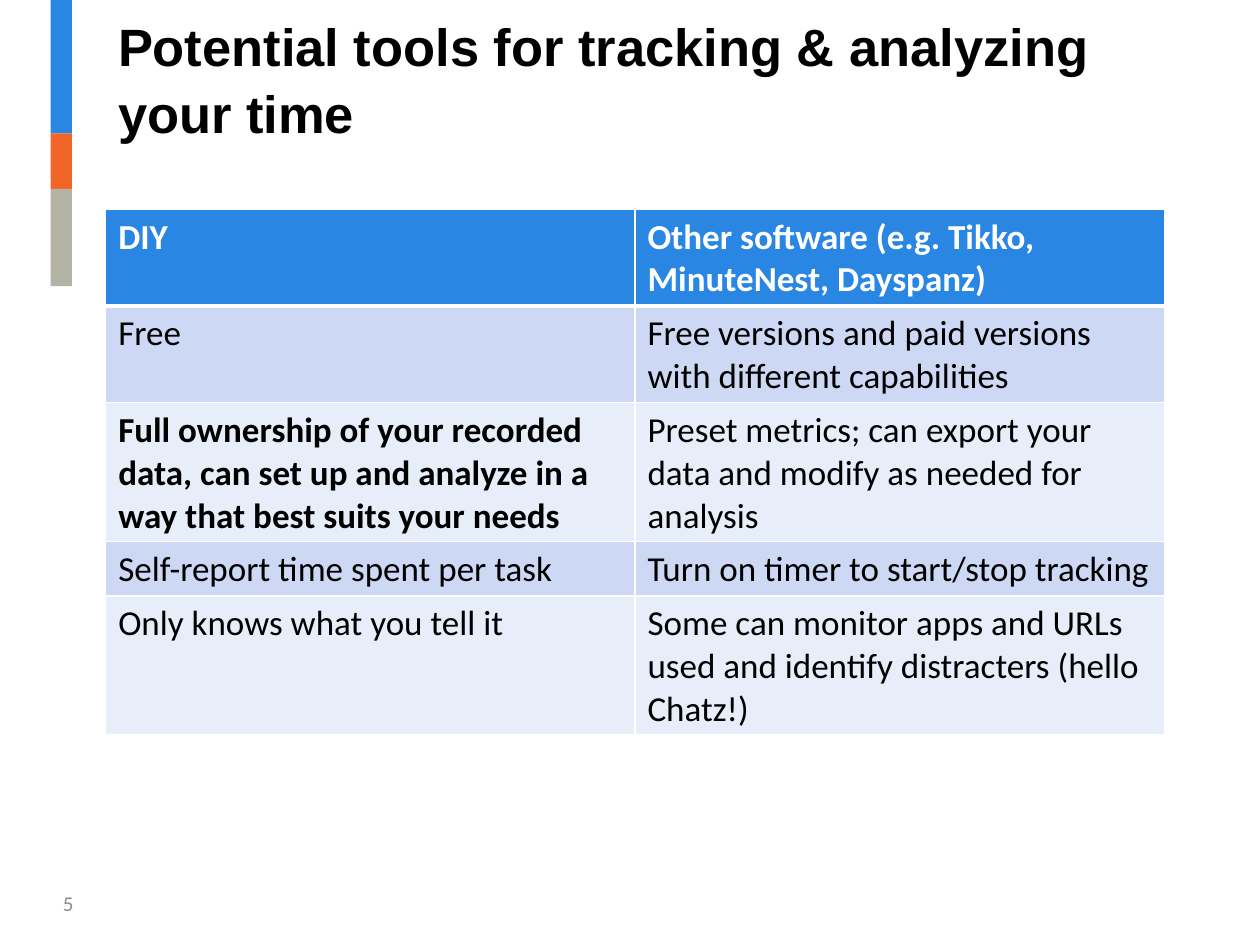
from dataclasses import dataclass

from lxml import etree
from pptx import Presentation
from pptx.dml.color import RGBColor
from pptx.enum.shapes import MSO_SHAPE
from pptx.enum.text import MSO_ANCHOR
from pptx.oxml.ns import qn
from pptx.util import Cm, Pt

RECT = MSO_SHAPE.RECTANGLE
BOTTOM = MSO_ANCHOR.BOTTOM
MIDDLE = MSO_ANCHOR.MIDDLE


@dataclass(frozen=True)
class Theme:
    blue: str = "2986E2"
    orange: str = "F26529"
    stone: str = "B3B3A6"
    bands: tuple = ("CDD9F4", "E8EDFA")
    white: str = "FFFFFF"
    black: str = "000000"
    grey: str = "8C8C8C"
    head: str = "Arial"
    body: str = "Calibri"
    title: int = 30
    cell: int = 20
    page: int = 12
    rule: int = 1
    thick: int = 3


class Deck:
    def __init__(self, theme, slide):
        self.theme = theme
        self.slide = slide

    def add_text(self, para, text, color, **form):
        run = para.add_run()
        run.text = text
        for name, value in form.items():
            setattr(run.font, name, value)
        run.font.color.rgb = RGBColor.from_string(color)

    def bar(self, left, top, width, height, color):
        box = self.slide.shapes.add_shape(
            RECT, Cm(left), Cm(top), Cm(width), Cm(height))
        box.shadow.inherit = False
        box.fill.solid()
        box.fill.fore_color.rgb = RGBColor.from_string(color)
        box.line.fill.background()

    def label(self, place, text, color, anchor, space=1.0, **form):
        box = self.slide.shapes.add_textbox(*map(Cm, place))
        frame = box.text_frame
        frame.word_wrap = True
        frame.vertical_anchor = anchor
        para = frame.paragraphs[0]
        para.line_spacing = space
        self.add_text(para, text, color, **form)

    def edge(self, cell, tag, width):
        """Draw one white border of a cell."""
        line = etree.SubElement(cell._tc.get_or_add_tcPr(), qn(f"a:{tag}"),
                                w=str(Pt(width)))
        fill = etree.SubElement(line, qn("a:solidFill"))
        etree.SubElement(fill, qn("a:srgbClr"), val=self.theme.white)

    def table(self, left, top, width, row_height, rows, strong):
        """Draw a banded table; strong holds the (row, column) of bold cells."""
        look = self.theme
        grid = self.slide.shapes.add_table(
            len(rows), len(rows[0]), Cm(left), Cm(top),
            Cm(width), Cm(row_height * len(rows))).table
        grid.first_row = grid.horz_banding = False
        for r, row in enumerate(rows):
            head = r == 0
            edges = {"lnL": look.rule, "lnR": look.rule}
            if head:
                edges["lnT"] = look.rule
            edges["lnB"] = look.thick if head else look.rule
            back = look.blue if head else look.bands[(r - 1) % 2]
            for c, text in enumerate(row):
                cell = grid.cell(r, c)
                for tag, size in edges.items():
                    self.edge(cell, tag, size)
                cell.fill.solid()
                cell.fill.fore_color.rgb = RGBColor.from_string(back)
                self.add_text(cell.text_frame.paragraphs[0], text,
                              look.white if head else look.black,
                              name=look.body, size=Pt(look.cell),
                              bold=head or (r, c) in strong)


TOOLS = [
    ("DIY", "Other software (e.g. Tikko, MinuteNest, Dayspanz)"),
    ("Free", "Free versions and paid versions with different capabilities"),
    ("Full ownership of your recorded data, can set up and analyze in a way "
     "that best suits your needs",
     "Preset metrics; can export your data and modify as needed for analysis"),
    ("Self-report time spent per task", "Turn on timer to start/stop tracking"),
    ("Only knows what you tell it",
     "Some can monitor apps and URLs used and identify distracters "
     "(hello Chatz!)"),
]


def main():
    show = Presentation()
    show.slide_width, show.slide_height = Cm(25.4), Cm(19.05)
    look = Theme()
    deck = Deck(look, show.slides.add_slide(show.slide_layouts[6]))

    top = 0
    for height, color in ((2.69, look.blue), (1.12, look.orange),
                          (1.96, look.stone)):
        deck.bar(1.02, top, 0.43, height, color)
        top += height

    deck.label((2.13, 0.84, 21.34, 2.18),
               "Potential tools for tracking & analyzing your time",
               look.black, BOTTOM, space=1.05,
               name=look.head, size=Pt(look.title), bold=True)
    deck.table(2.13, 4.22, 21.34, 1.04, TOOLS, strong={(2, 0)})
    deck.label((1.02, 17.7, 5.72, 1.02), "5", look.grey, MIDDLE,
               name=look.body, size=Pt(look.page))
    show.save("out.pptx")


if __name__ == "__main__":
    main()
